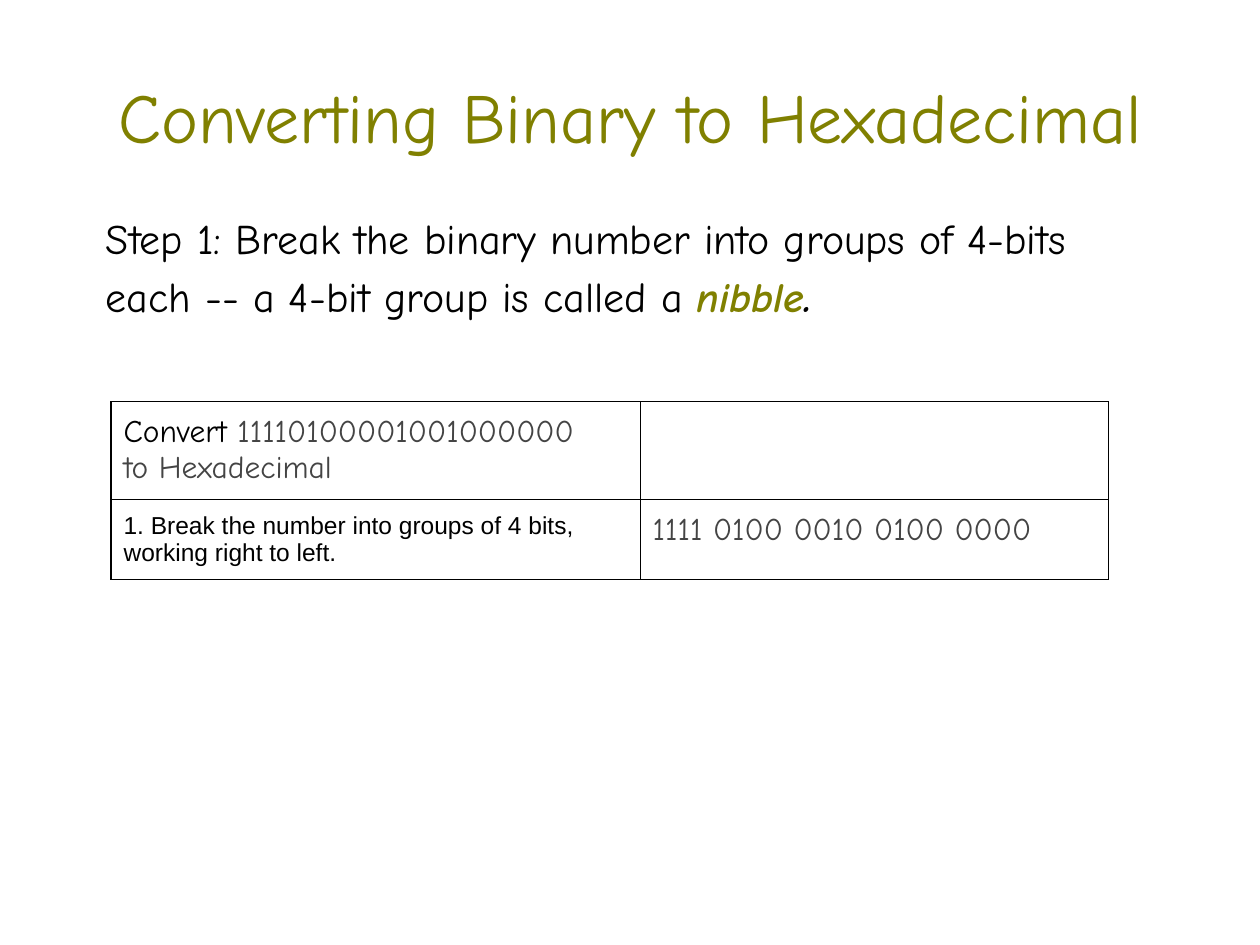
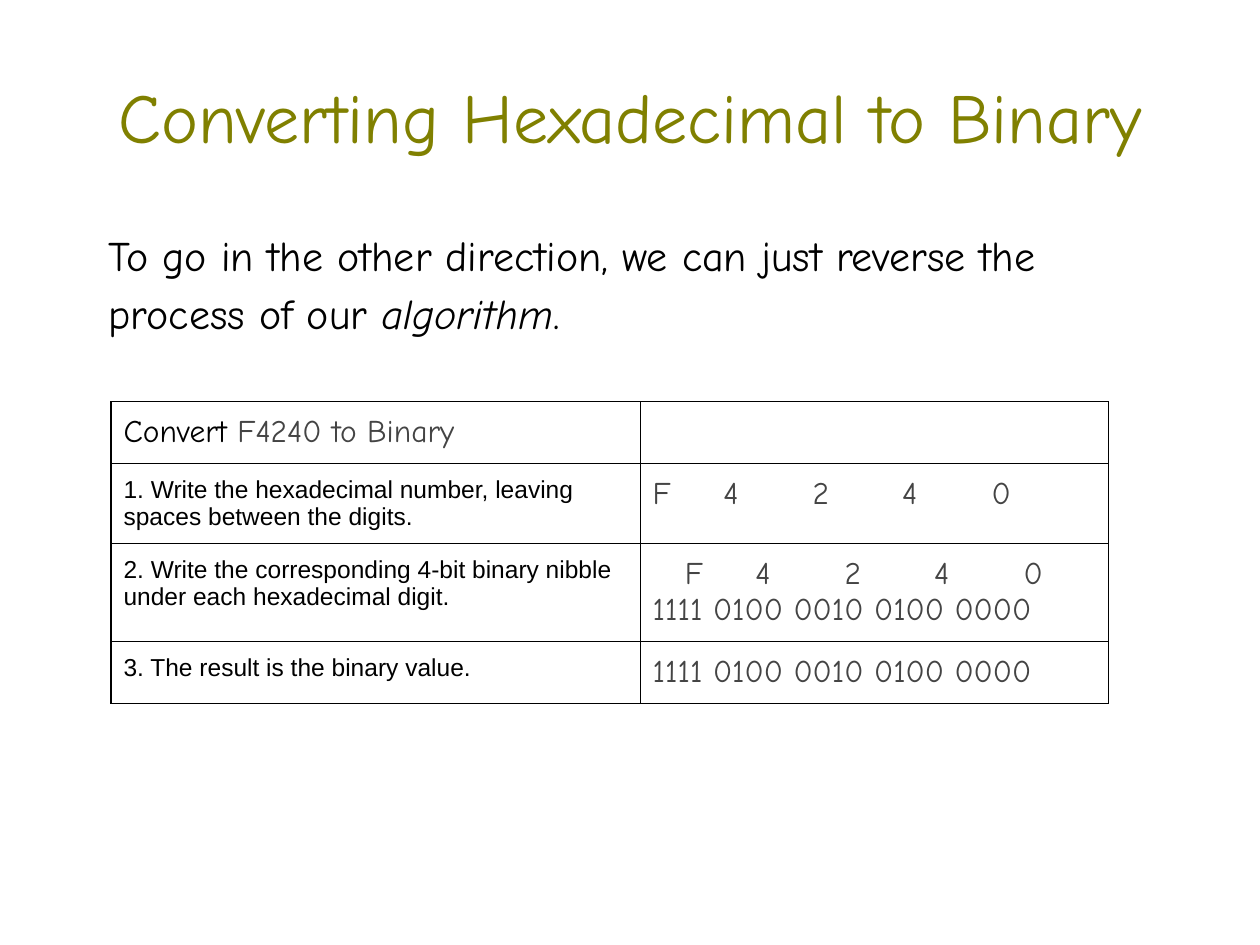
from lxml.etree import SubElement
from pptx import Presentation
from pptx.dml.color import RGBColor
from pptx.enum.text import MSO_ANCHOR, MSO_AUTO_SIZE as AutoSize, PP_ALIGN
from pptx.oxml.ns import qn
from pptx.util import Pt

# Shared look
HAND, PLAIN = "Comic Neue", "Arial"
OLIVE, BLACK, GRAY = "808000", "000000", "444444"
COLUMN_WIDTHS = (302.4, 267.84)
ROW_HEIGHT = 30.24
CELL_MARGIN = 7.2

# Tab stops: a small lead-in, then the evenly spaced hex digits
LEAD_STOP, FIRST_STOP, DIGIT_STEP = 18.3, 40.3, 51.1
HEX_DIGITS = "F\t4\t2\t4\t0"
NIBBLES = "1111 0100 0010 0100 0000"


def rgb(hex_color):
    return RGBColor.from_string(hex_color)


def add_run(paragraph, text, size, color=BLACK, face=HAND, bold=False, italic=False):
    run = paragraph.add_run()
    run.text = text
    font = run.font
    font.name, font.size, font.bold, font.italic = face, Pt(size), bold, italic
    font.color.rgb = rgb(color)


def place(placeholder, left, top, width, height):
    placeholder.left, placeholder.top = Pt(left), Pt(top)
    placeholder.width, placeholder.height = Pt(width), Pt(height)
    placeholder.text_frame.word_wrap = True
    placeholder.text_frame.auto_size = AutoSize.NONE


def add_title(slide, text):
    title = slide.shapes.title
    place(title, 54, 30.24, 612, 72)
    title.text_frame.vertical_anchor = MSO_ANCHOR.MIDDLE
    paragraph = title.text_frame.paragraphs[0]
    paragraph.alignment = PP_ALIGN.CENTER
    add_run(paragraph, text, 40, OLIVE)


def add_intro(slide, left, top, pieces):
    """Lead paragraph; each piece is (text, run options)."""
    intro = slide.placeholders[1]
    place(intro, left, top, 610.56, 84.96)
    paragraph = intro.text_frame.paragraphs[0]
    paragraph.line_spacing = 1.15
    paragraph.space_before = Pt(0)
    properties = paragraph._p.get_or_add_pPr()
    properties.set("marL", "0")
    properties.set("indent", "0")
    SubElement(properties, qn("a:buNone"))
    for text, options in pieces:
        add_run(paragraph, text, 24, **options)


def set_tabs(paragraph, stops):
    tabs = SubElement(paragraph._p.get_or_add_pPr(), qn("a:tabLst"))
    for stop in stops:
        SubElement(tabs, qn("a:tab"), pos=str(Pt(stop)), algn="l")


def digit_stops(text):
    lead = LEAD_STOP if text.startswith("\t") else 0
    stops = [lead + FIRST_STOP + DIGIT_STEP * i for i in range(4)]
    return [lead] + stops if lead else stops


def style_cell(cell):
    cell.margin_left = cell.margin_right = Pt(CELL_MARGIN)
    cell.margin_top = cell.margin_bottom = Pt(CELL_MARGIN)
    properties = cell._tc.get_or_add_tcPr()
    for side in ("lnL", "lnR", "lnT", "lnB"):
        border = SubElement(properties, qn(f"a:{side}"), w=str(Pt(0.75)))
        fill = SubElement(border, qn("a:solidFill"))
        SubElement(fill, qn("a:srgbClr"), val=BLACK)
    cell.fill.background()


def fill_cell(cell, lines):
    """Each line is a list of (text, size, color, face) runs."""
    style_cell(cell)
    frame = cell.text_frame
    if not lines:
        # Keep the empty cell from stretching its row
        SubElement(frame.paragraphs[0]._p, qn("a:endParaRPr"), sz="1400")
    for i, line in enumerate(lines):
        paragraph = frame.add_paragraph() if i else frame.paragraphs[0]
        for text, *look in line:
            if "\t" in text:
                set_tabs(paragraph, digit_stops(text))
            add_run(paragraph, text, *look)


def add_steps_table(slide, task, steps):
    """Task row on top, then one row per (instruction, result lines)."""
    number, *more = task
    task_lines = [[("Convert ", 18, BLACK, HAND), (number, 18, GRAY, HAND)]]
    task_lines += [[(text, 18, GRAY, HAND)] for text in more]
    rows = [(task_lines, [])]
    for instruction, results in steps:
        rows.append(([[(instruction, 14, BLACK, PLAIN)]],
                     [[(text, 18, GRAY, HAND)] for text in results]))

    table = slide.shapes.add_table(
        len(rows), len(COLUMN_WIDTHS), Pt(63.4), Pt(229.5),
        Pt(sum(COLUMN_WIDTHS)), Pt(ROW_HEIGHT * len(rows))).table
    table.first_row = table.horz_banding = False
    for column, width in zip(table.columns, COLUMN_WIDTHS):
        column.width = Pt(width)
    for row, contents in zip(table.rows, rows):
        row.height = Pt(ROW_HEIGHT)
        for cell, lines in zip(row.cells, contents):
            fill_cell(cell, lines)


def main():
    deck = Presentation()
    deck.slide_width, deck.slide_height = Pt(720), Pt(540)
    layout = deck.slide_layouts[1]

    # Binary to hexadecimal
    to_hex = deck.slides.add_slide(layout)
    add_title(to_hex, "Converting Binary to Hexadecimal")
    add_intro(to_hex, 53.28, 113.76, [
        ("Step 1: Break the binary number into groups of 4-bits each"
         " -- a 4-bit group is called a ", {}),
        ("nibble", {"color": OLIVE, "bold": True, "italic": True}),
        (".", {"bold": True, "italic": True}),
    ])
    add_steps_table(to_hex, ["11110100001001000000", "to Hexadecimal"], [
        ("1. Break the number into groups of 4 bits, working right to left.",
         [NIBBLES]),
    ])

    # Hexadecimal to binary
    to_binary = deck.slides.add_slide(layout)
    add_title(to_binary, "Converting Hexadecimal to Binary")
    add_intro(to_binary, 54.72, 123.12, [
        ("To go in the other direction, we can just reverse the process of our ", {}),
        ("algorithm", {"italic": True}),
        (".", {}),
    ])
    add_steps_table(to_binary, ["F4240 to Binary"], [
        ("1. Write the hexadecimal number, leaving spaces between the digits.",
         [HEX_DIGITS]),
        ("2. Write the corresponding 4-bit binary nibble under each hexadecimal digit.",
         ["\t" + HEX_DIGITS, NIBBLES]),
        ("3. The result is the binary value.", [NIBBLES]),
    ])

    deck.save("out.pptx")


if __name__ == "__main__":
    main()
